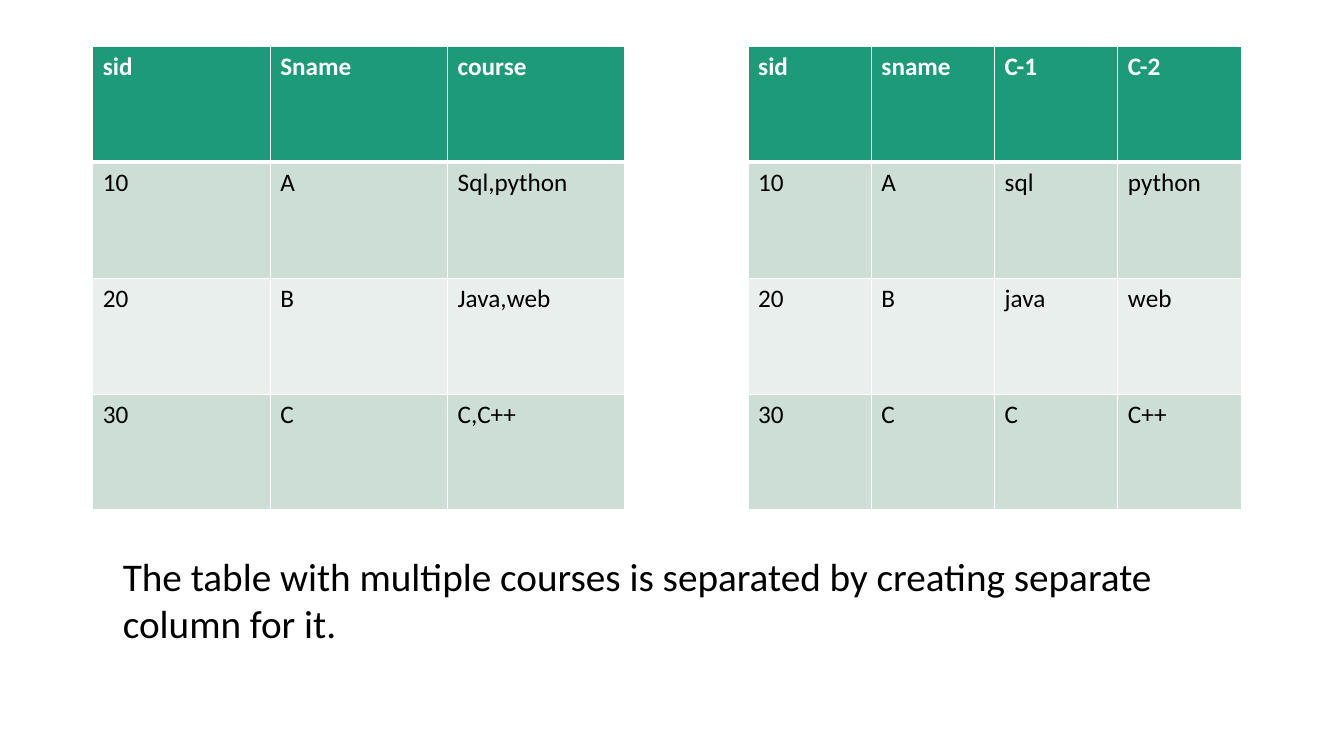
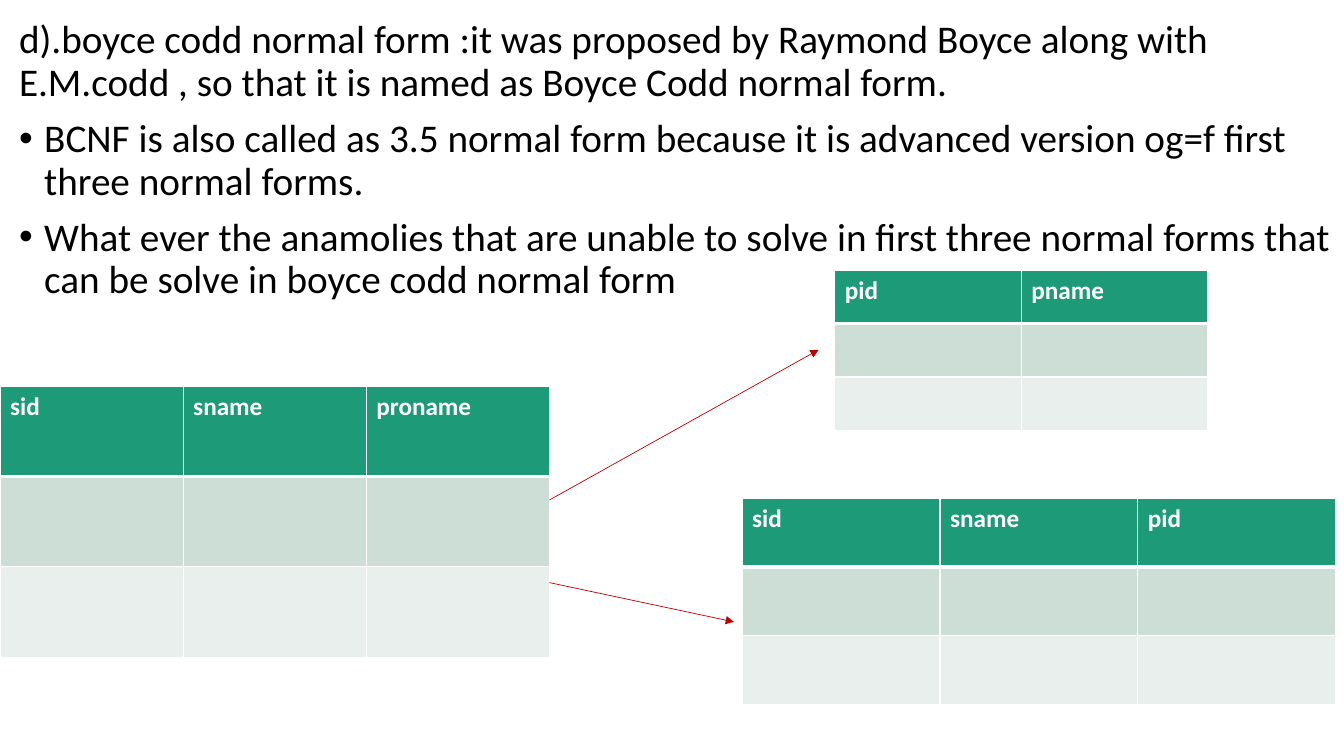
from lxml import etree
from pptx import Presentation
from pptx.dml.color import RGBColor
from pptx.enum import shapes
from pptx.oxml import ns
from pptx.util import Inches, Pt

GREEN = RGBColor(0x1D, 0x9A, 0x78)
BAND_DARK = RGBColor(0xCD, 0xDE, 0xD6)
BAND_LIGHT = RGBColor(0xE8, 0xEF, 0xEC)
WHITE = RGBColor(0xFF, 0xFF, 0xFF)
BLACK = RGBColor(0x00, 0x00, 0x00)
RED = RGBColor(0xC0, 0x00, 0x00)


def add_element(parent, tag, **attributes):
    return etree.SubElement(parent, ns.qn(tag), attributes)


class Deck:
    font_name = "Calibri"
    body_size = 28
    table_size = 18

    def __init__(self):
        self.presentation = Presentation()
        self.presentation.slide_width = Inches(13.33)
        self.presentation.slide_height = Inches(7.5)
        self.slide = None

    def new_slide(self):
        layout = self.presentation.slide_layouts[6]
        self.slide = self.presentation.slides.add_slide(layout)

    def run(self, paragraph, content, size, color, bold=False):
        run = paragraph.add_run()
        run.text = content
        run.font.name = self.font_name
        run.font.size = Pt(size)
        run.font.bold = bold
        run.font.color.rgb = color

    def text(self, left, top, width, height, paragraphs, line_spacing=1.0):
        """Write body text; paragraphs after the first one are bulleted."""
        box = self.slide.shapes.add_textbox(
            Inches(left), Inches(top), Inches(width), Inches(height))
        frame = box.text_frame
        frame.word_wrap = True
        for index, content in enumerate(paragraphs):
            paragraph = frame.add_paragraph() if index else frame.paragraphs[0]
            if index:
                self.bullet(paragraph)
                paragraph.space_before = Pt(10)
            paragraph.line_spacing = line_spacing
            self.run(paragraph, content, self.body_size, BLACK)

    def bullet(self, paragraph):
        properties = paragraph._p.get_or_add_pPr()
        indent = Inches(0.25)
        properties.set("marL", str(indent))
        properties.set("indent", str(-indent))
        add_element(properties, "a:buFont", typeface="Arial")
        add_element(properties, "a:buChar", char="•")

    def borders(self, cell, top, bottom):
        """Draw white cell borders; top and bottom widths are in points."""
        properties = cell._tc.get_or_add_tcPr()
        for side, width in (("L", 1), ("R", 1), ("T", top), ("B", bottom)):
            line = add_element(properties, f"a:ln{side}", w=str(Pt(width)))
            fill = add_element(line, "a:solidFill")
            add_element(fill, "a:srgbClr", val=str(WHITE))

    def table(self, left, top, width, height, header, rows):
        """Draw a table with a green header and alternating row bands."""
        lines = [header, *rows]
        table = self.slide.shapes.add_table(
            len(lines), len(header), Inches(left), Inches(top),
            Inches(width), Inches(height)).table
        for row_index, line in enumerate(lines):
            is_header = row_index == 0
            band = BAND_DARK if row_index % 2 else BAND_LIGHT
            for column_index, content in enumerate(line):
                cell = table.cell(row_index, column_index)
                self.borders(cell, top=3 if row_index == 1 else 1,
                             bottom=3 if is_header else 1)
                cell.fill.solid()
                cell.fill.fore_color.rgb = GREEN if is_header else band
                if content:
                    self.run(cell.text_frame.paragraphs[0], content,
                             self.table_size,
                             WHITE if is_header else BLACK, is_header)

    def arrow(self, start, end):
        connector = self.slide.shapes.add_connector(
            shapes.MSO_CONNECTOR.STRAIGHT,
            *(Inches(value) for value in (*start, *end)))
        connector.line.color.rgb = RED
        connector.line.width = Pt(0.5)
        add_element(connector.line._get_or_add_ln(), "a:tailEnd", type="triangle")
        add_element(connector._element.spPr, "a:effectLst")

    def save(self):
        self.presentation.save("out.pptx")


def build_course_slide(deck):
    deck.new_slide()
    deck.table(0.92, 0.46, 5.28, 4.6, ["sid", "Sname", "course"], [
        ["10", "A", "Sql,python"],
        ["20", "B", "Java,web"],
        ["30", "C", "C,C++"],
    ])
    deck.table(7.42, 0.46, 4.89, 4.6, ["sid", "sname", "C-1", "C-2"], [
        ["10", "A", "sql", "python"],
        ["20", "B", "java", "web"],
        ["30", "C", "C", "C++"],
    ])
    deck.text(1.12, 5.43, 11.09, 1.04, [
        "The table with multiple courses is separated by creating separate "
        "column for it.",
    ])


def build_boyce_codd_slide(deck):
    deck.new_slide()
    deck.text(0.09, 0.15, 13.25, 7.35, [
        "d).boyce codd normal form :it was proposed by Raymond Boyce along with "
        "E.M.codd , so that it is named as Boyce Codd normal form.",
        "BCNF is also called as 3.5 normal form because it is advanced version "
        "og=f first three normal forms.",
        "What ever the anamolies that are unable to solve in first three normal "
        "forms that can be solve in boyce codd normal form",
    ], line_spacing=0.9)
    for left, top, width, height, header in (
            (0, 3.83, 5.45, 2.69, ["sid", "sname", "proname"]),
            (8.28, 2.68, 3.7, 1.59, ["pid", "pname"]),
            (7.36, 4.94, 5.89, 2.05, ["sid", "sname", "pid"])):
        empty_rows = [[""] * len(header)] * 2
        deck.table(left, top, width, height, header, empty_rows)
    deck.arrow((5.45, 4.96), (8.12, 3.47))
    deck.arrow((5.45, 5.78), (7.28, 6.17))


def main():
    deck = Deck()
    build_course_slide(deck)
    build_boyce_codd_slide(deck)
    deck.save()


if __name__ == "__main__":
    main()
